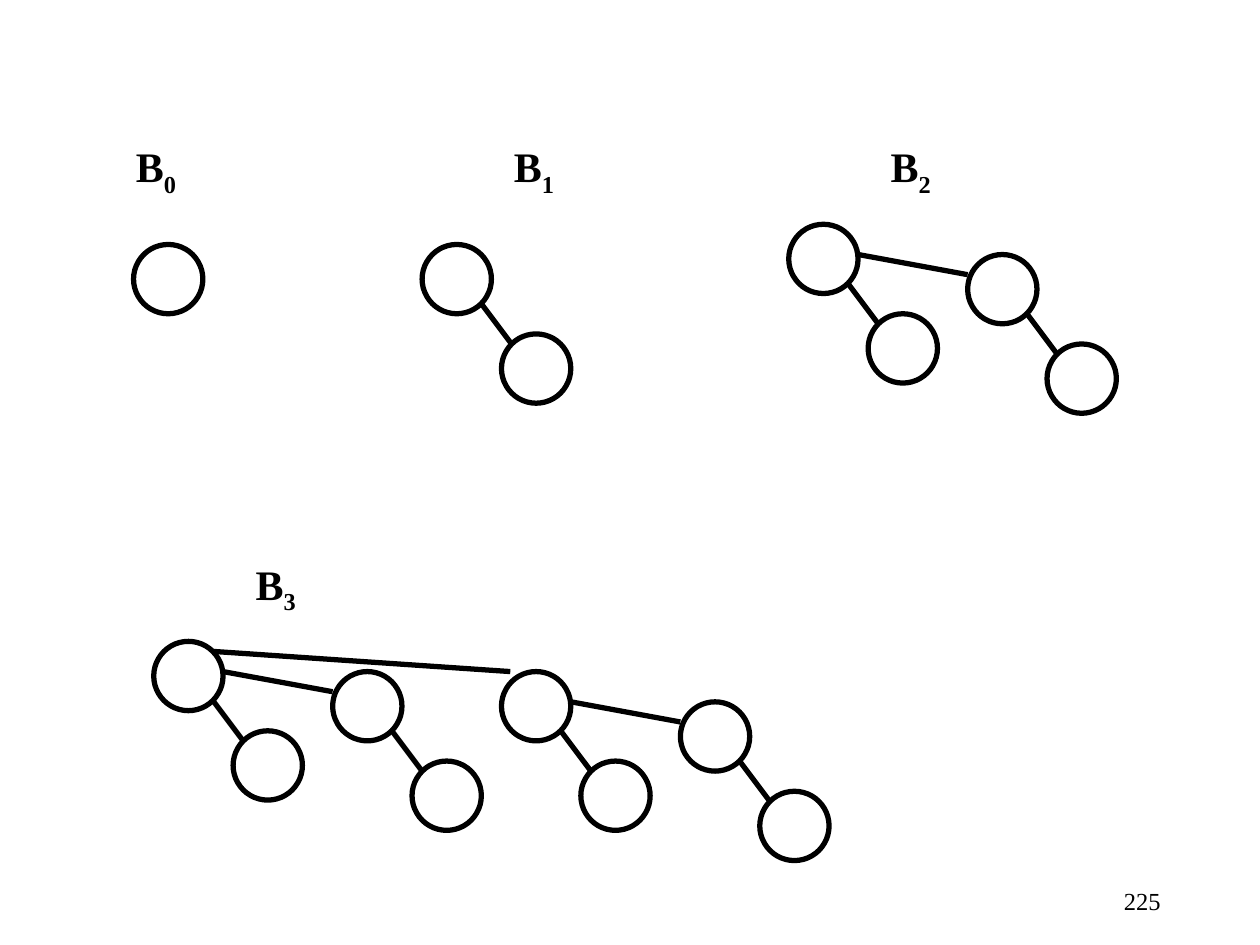
from pptx import Presentation
from pptx.dml.color import RGBColor
from pptx.enum.shapes import MSO_CONNECTOR as CONN, MSO_SHAPE as SHAPE
from pptx.enum.text import MSO_ANCHOR as ANCHOR, PP_ALIGN as ALIGN
from pptx.util import Inches, Pt
from lxml.etree import SubElement
from pptx.oxml.ns import qn

# Content: order of each binomial tree, its root and its label position
TREES = [
    (0, (1.06, 1.94), (0.98, 1.07)),
    (1, (3.35, 1.94), (3.98, 1.07)),
    (2, (6.26, 1.78), (6.97, 1.07)),
    (3, (1.22, 5.09), (1.93, 4.38)),
]
PAGE = "225"

# The i-th child of a node: its offset, then the ends of the link to it
CHILDREN = [
    ((0.63, 0.71), (0.47, 0.47), (0.71, 0.79)),
    ((1.42, 0.24), (0.55, 0.24), (1.42, 0.40)),
    ((2.76, 0.24), (0.47, 0.08), (2.83, 0.24)),
]
NODE = 0.55
COLORS = {"ink": "000000"}
FONT = "Times New Roman"
INK = RGBColor.from_string(COLORS["ink"])


def style_line(sp):
    sp.line.color.rgb = INK
    sp.line.width = Pt(3)


def shift(a, b):
    return a[0] + b[0], a[1] + b[1]


def add_link(s, start, end):
    cn = s.shapes.add_connector(CONN.STRAIGHT, *map(Inches, start + end))
    style_line(cn)
    SubElement(cn._element.spPr, qn("a:effectLst"))


def add_tree(s, order, at):
    """A tree of order k has children of order 0 to k-1."""
    sp = s.shapes.add_shape(SHAPE.OVAL, *map(Inches, at + (NODE, NODE)))
    sp.shadow.inherit = False
    sp.fill.background()
    style_line(sp)
    for i, (offset, start, end) in enumerate(CHILDREN[:order]):
        add_tree(s, i, shift(at, offset))
        add_link(s, shift(at, start), shift(at, end))


def add_box(s, at, size):
    tf = s.shapes.add_textbox(*map(Inches, at + size)).text_frame
    tf.word_wrap = True
    return tf


def add_run(p, text, size, bold=False):
    r = p.add_run()
    r.text = text
    r.font.name, r.font.size, r.font.bold = FONT, Pt(size), bold
    r.font.color.rgb = INK
    return r


prs = Presentation()
prs.slide_width, prs.slide_height = Inches(10), Inches(7.5)
s = prs.slides.add_slide(prs.slide_layouts[6])

# Labelled trees
for order, root, label in TREES:
    p = add_box(s, label, (0.79, 0.56)).paragraphs[0]
    add_run(p, "B", 24, True)
    sub = add_run(p, str(order), 24, True)
    sub.font._element.set("baseline", "-25000")
    add_tree(s, order, root)

# Page number
tf = add_box(s, (7.06, 6.95), (2.25, 0.4))
tf.vertical_anchor = ANCHOR.MIDDLE
p = tf.paragraphs[0]
p.alignment = ALIGN.RIGHT
add_run(p, PAGE, 14)

prs.save("out.pptx")
